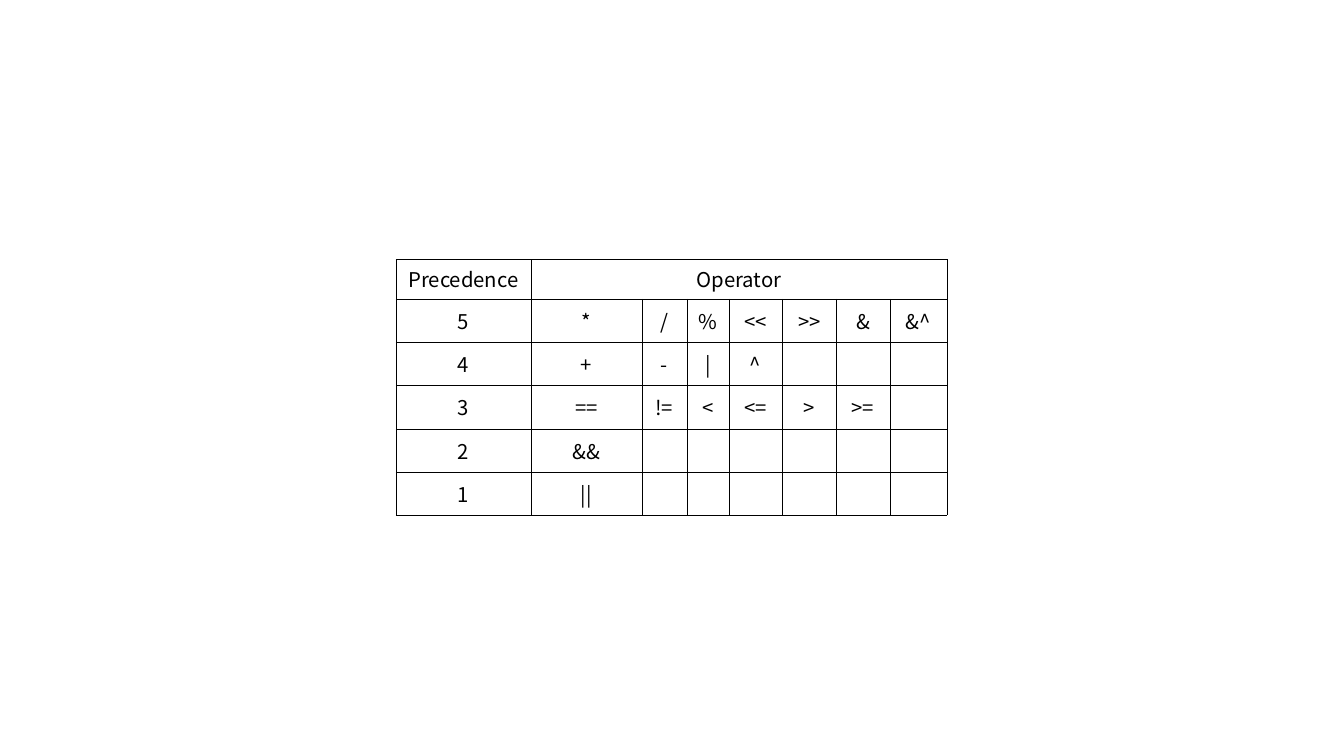
"""Build a slide with a table of operator precedence."""
from lxml import etree
from pptx import Presentation
from pptx.dml.color import RGBColor
from pptx.enum import text
from pptx.oxml import ns
from pptx.util import Cm, Pt

COLORS = {"ink": "000000", "paper": "FFFFFF"}
FONT = "Noto Sans CJK SC"
COLUMN_WIDTHS = [2.81, 2.31, 0.94, 0.87, 1.12, 1.12, 1.12, 1.19]
ROW_HEIGHTS = [0.83] + [0.9] * 5
ROWS = [
    ["Precedence", "Operator"],
    ["5", "*", "/", "%", "<<", ">>", "&", "&^"],
    ["4", "+", "-", "|", "^"],
    ["3", "==", "!=", "<", "<=", ">", ">="],
    ["2", "&&"],
    ["1", "||"],
]


def add_borders(cell):
    properties = cell._tc.get_or_add_tcPr()
    for side in ("lnL", "lnR", "lnT", "lnB"):
        line = etree.SubElement(properties, ns.qn(f"a:{side}"), w=str(Pt(0.06)))
        fill = etree.SubElement(line, ns.qn("a:solidFill"))
        etree.SubElement(fill, ns.qn("a:srgbClr"), val=COLORS["ink"])


presentation = Presentation()
presentation.slide_width = Cm(28)
presentation.slide_height = Cm(15.75)
slide = presentation.slides.add_slide(presentation.slide_layouts[6])

table = slide.shapes.add_table(
    len(ROWS), len(COLUMN_WIDTHS), Cm(8.25), Cm(5.4),
    Cm(sum(COLUMN_WIDTHS)), Cm(sum(ROW_HEIGHTS)),
).table
table.horz_banding = False
for column, width in zip(table.columns, COLUMN_WIDTHS):
    column.width = Cm(width)
for row, height in zip(table.rows, ROW_HEIGHTS):
    row.height = Cm(height)
table.cell(0, 1).merge(table.cell(0, len(COLUMN_WIDTHS) - 1))

for row, labels in zip(table.rows, ROWS):
    for index, cell in enumerate(row.cells):
        add_borders(cell)
        cell.fill.solid()
        cell.fill.fore_color.rgb = RGBColor.from_string(COLORS["paper"])
        cell.vertical_anchor = text.MSO_ANCHOR.MIDDLE
        cell.margin_left = cell.margin_right = Cm(0.1)
        cell.margin_top = cell.margin_bottom = 0
        paragraph = cell.text_frame.paragraphs[0]
        if index < len(labels):
            paragraph.text = labels[index]
        paragraph.alignment = text.PP_ALIGN.CENTER
        paragraph.font.name = FONT
        paragraph.font.size = Pt(12)
        paragraph.font.bold = False
        paragraph.font.color.rgb = RGBColor.from_string(COLORS["ink"])

presentation.save("out.pptx")
